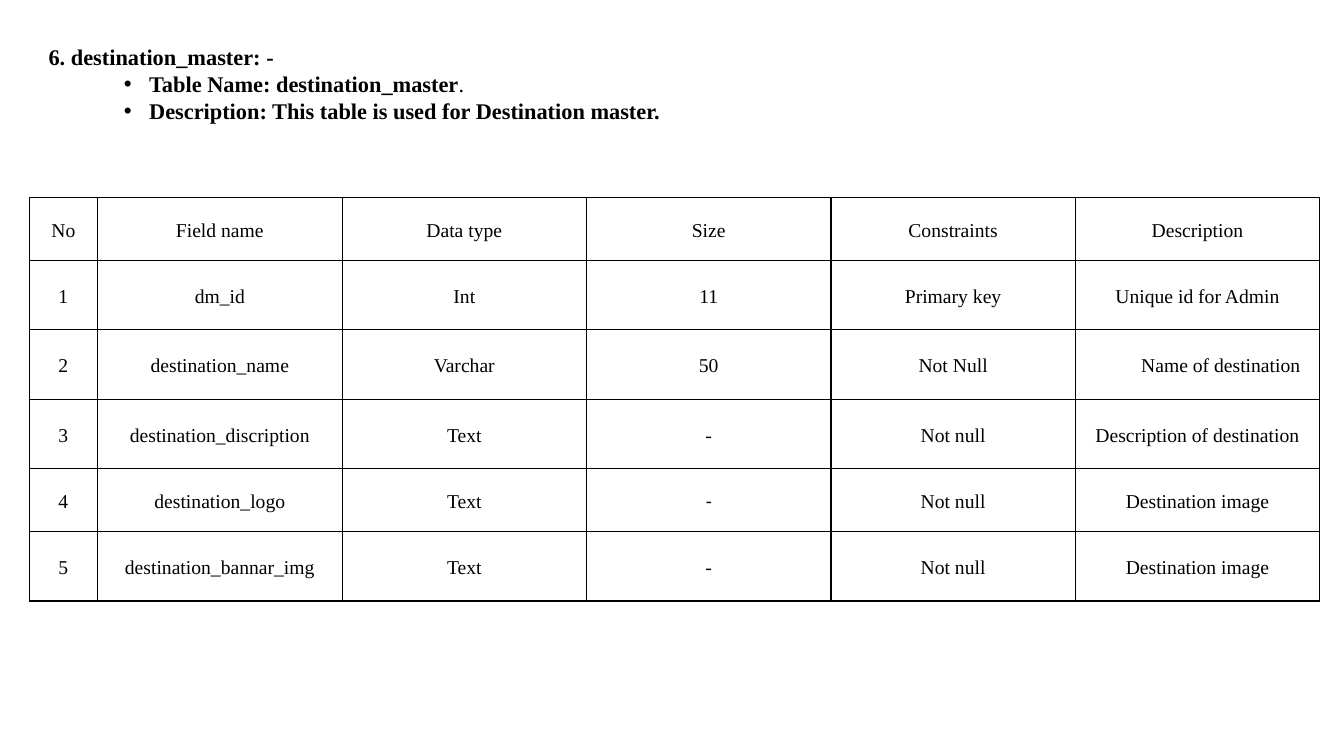
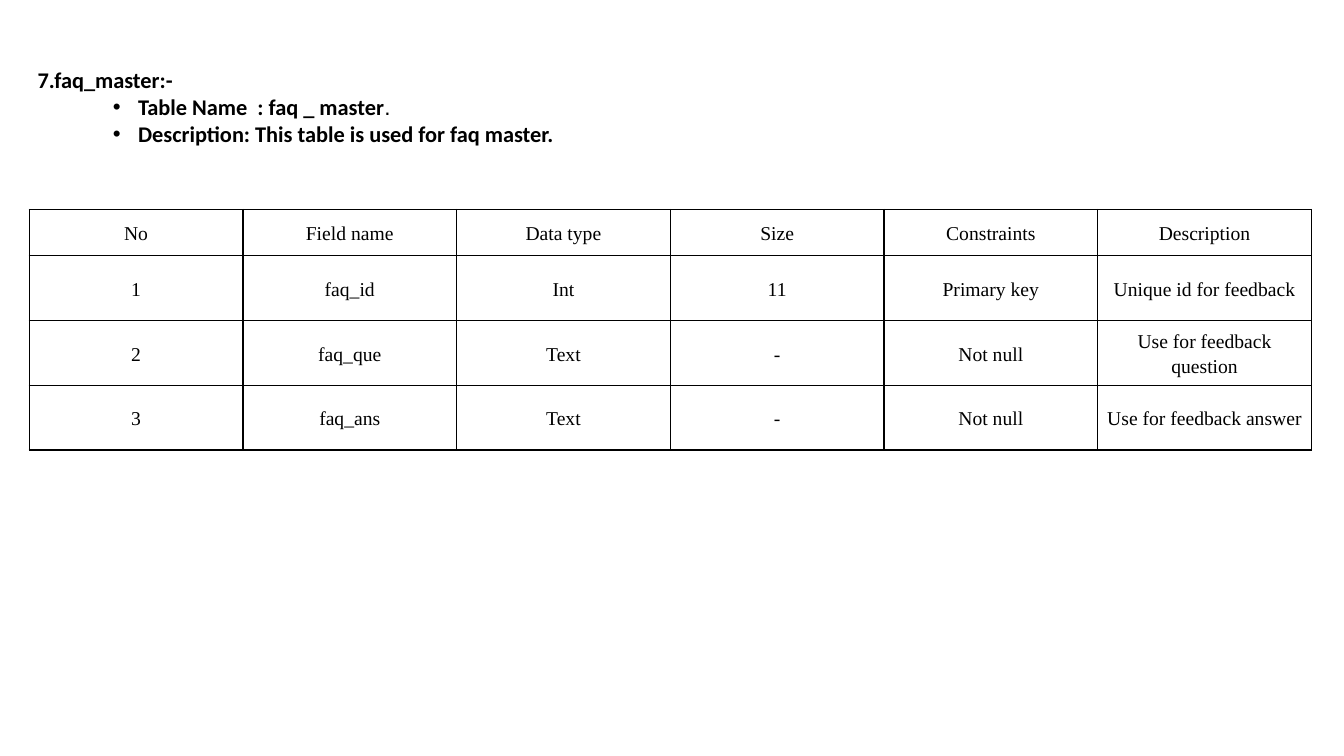
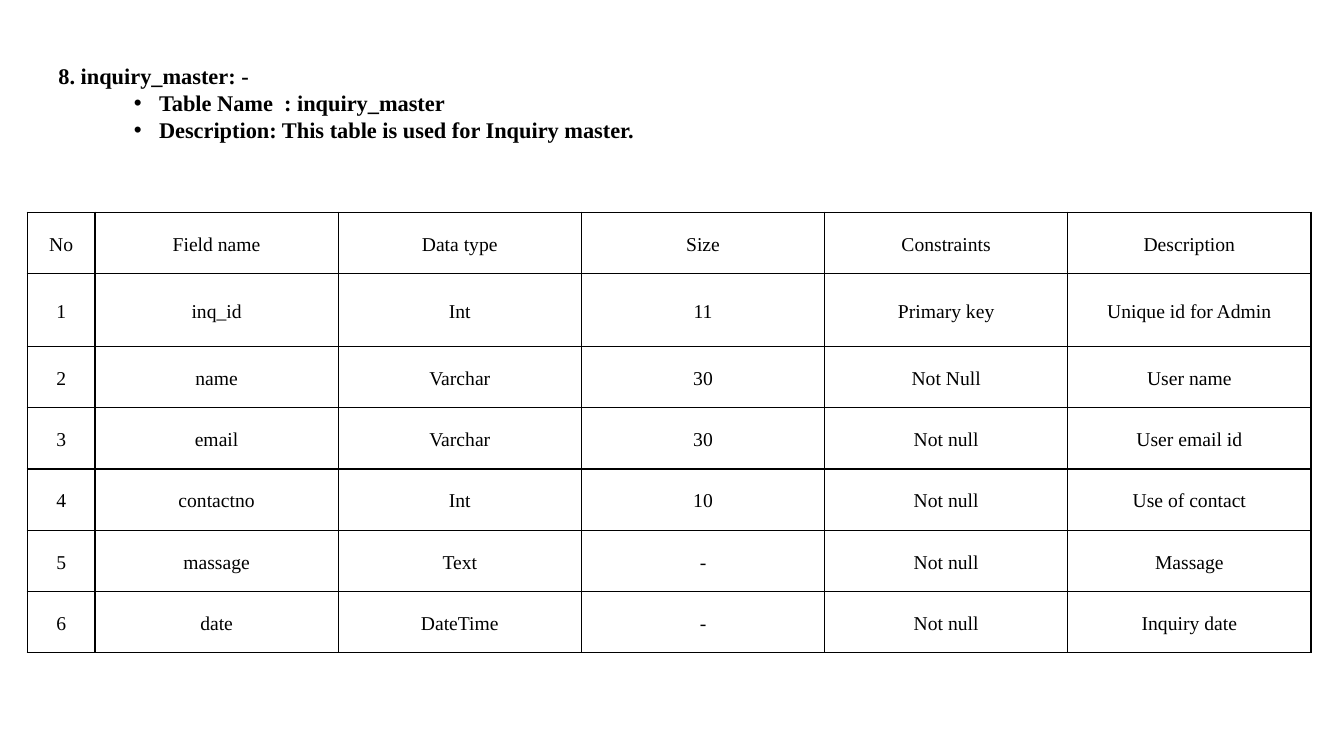
from lxml.etree import SubElement
from pptx import Presentation
from pptx.dml.color import RGBColor
from pptx.enum.text import MSO_ANCHOR, MSO_AUTO_SIZE, PP_ALIGN
from pptx.oxml.ns import qn
from pptx.util import Pt

COLOURS = {"text": "000000", "border": "000000", "cell": "FFFFFF"}
SERIF, SANS = "Times New Roman", "Calibri"
HEADER = ["No", "Field name", "Data type", "Size", "Constraints", "Description"]


class Deck:
    """Holds the shared style and the slide being built."""

    heading_size, cell_size = 16, 14
    line_height = 19.3
    bullet_margin, bullet_hang = 72, 18
    cell_margin = 5

    def __init__(self):
        self.presentation = Presentation()
        self.presentation.slide_width = Pt(960)
        self.presentation.slide_height = Pt(540)
        self.slide = None

    def add_slide(self):
        self.slide = self.presentation.slides.add_slide(self.presentation.slide_layouts[5])

    def style_font(self, font, name, size, bold):
        font.name, font.size, font.bold = name, Pt(size), bold
        font.color.rgb = RGBColor.from_string(COLOURS["text"])

    def format_lines(self, text_frame, font_name):
        text_frame.word_wrap = True
        text_frame.auto_size = MSO_AUTO_SIZE.NONE
        text_frame.vertical_anchor = MSO_ANCHOR.TOP
        text_frame.margin_top = text_frame.margin_bottom = 0
        for paragraph in text_frame.paragraphs:
            paragraph.alignment = PP_ALIGN.LEFT
            paragraph.line_spacing = Pt(self.line_height)
            self.style_font(paragraph.font, font_name, self.heading_size, True)

    def title(self, text, left, top, width, font_name=SERIF):
        shape = self.slide.shapes.title
        shape.left, shape.top = Pt(left), Pt(top)
        shape.width, shape.height = Pt(width), Pt(self.line_height)
        shape.text_frame.text = text
        self.format_lines(shape.text_frame, font_name)

    def bullets(self, lines, left, top, width, font_name=SERIF):
        shape = self.slide.shapes.add_textbox(
            Pt(left), Pt(top), Pt(width), Pt(self.line_height * len(lines)))
        shape.text_frame.text = "\n".join(lines)
        self.format_lines(shape.text_frame, font_name)
        for paragraph in shape.text_frame.paragraphs:
            properties = paragraph._p.get_or_add_pPr()
            properties.set("marL", str(Pt(self.bullet_margin)))
            properties.set("indent", str(-Pt(self.bullet_hang)))
            bullet_font = properties.makeelement(qn("a:buFont"), {"typeface": "Arial"})
            bullet = properties.makeelement(qn("a:buChar"), {"char": "•"})
            properties.find(qn("a:defRPr")).addprevious(bullet_font)
            bullet_font.addnext(bullet)
        return shape.text_frame

    def heading(self, title, lines, left, top, width, font_name=SERIF):
        self.title(title, left, top, width, font_name)
        return self.bullets(lines, left, top + self.line_height, width, font_name)

    def plain_ending(self, paragraph, text, font_name):
        run = paragraph.add_run()
        run.text = text
        run.font.name, run.font.bold = font_name, False

    def border(self, cell):
        properties = cell._tc.get_or_add_tcPr()
        for side in ("a:lnL", "a:lnR", "a:lnT", "a:lnB"):
            line = SubElement(properties, qn(side), w=str(Pt(1)))
            fill = SubElement(line, qn("a:solidFill"))
            SubElement(fill, qn("a:srgbClr"), val=COLOURS["border"])

    def format_cell(self, cell, text):
        cell.text = text
        self.border(cell)
        cell.fill.solid()
        cell.fill.fore_color.rgb = RGBColor.from_string(COLOURS["cell"])
        cell.vertical_anchor = MSO_ANCHOR.MIDDLE
        cell.margin_left = cell.margin_right = Pt(self.cell_margin)
        cell.margin_top = cell.margin_bottom = 0
        paragraph = cell.text_frame.paragraphs[0]
        paragraph.alignment = PP_ALIGN.CENTER
        paragraph.line_spacing = 1.15
        self.style_font(paragraph.font, SERIF, self.cell_size, False)

    def field_table(self, fields, left, top, width, number_width, row_heights):
        """Number the fields; the other columns share the remaining width."""
        rows = [HEADER] + [[str(number), *field] for number, field in enumerate(fields, 1)]
        table = self.slide.shapes.add_table(
            len(rows), len(HEADER), Pt(left), Pt(top), Pt(width), Pt(sum(row_heights))).table
        table.first_row = table.horz_banding = False
        field_width = (width - number_width) / (len(HEADER) - 1)
        for index, column in enumerate(table.columns):
            column.width = Pt(field_width if index else number_width)
        for row, height, texts in zip(table.rows, row_heights, rows):
            row.height = Pt(height)
            for cell, text in zip(row.cells, texts):
                self.format_cell(cell, text)
        return table


def destination_slide(deck):
    deck.add_slide()
    lines = deck.heading(
        "6. destination_master: -",
        ["Table Name: destination_master",
         "Description: This table is used for Destination master."],
        left=27.5, top=31, width=894)
    deck.plain_ending(lines.paragraphs[0], ".", SERIF)
    table = deck.field_table([
        ["dm_id", "Int", "11", "Primary key", "Unique id for Admin"],
        ["destination_name", "Varchar", "50", "Not Null", "Name of destination"],
        ["destination_discription", "Text", "-", "Not null", "Description of destination"],
        ["destination_logo", "Text", "-", "Not null", "Destination image"],
        ["destination_bannar_img", "Text", "-", "Not null", "Destination image"],
    ], left=20.8, top=141, width=922, number_width=49,
        row_heights=[45, 49.6, 49.6, 49.6, 45, 49.6])
    # One description is indented from the left, one dash is sans serif
    indented_cell = table.cell(2, 5)
    indented_cell.margin_left = Pt(47)
    indented_cell.text_frame.paragraphs[0].alignment = PP_ALIGN.LEFT
    table.cell(4, 3).text_frame.paragraphs[0].font.name = SANS


def faq_slide(deck):
    deck.add_slide()
    lines = deck.heading(
        "7.faq_master:-",
        ["Table Name  : faq _ master",
         "Description: This table is used for faq master."],
        left=19.6, top=47, width=920, font_name=SANS)
    deck.plain_ending(lines.paragraphs[0], ".", "Arial")
    deck.field_table([
        ["faq_id", "Int", "11", "Primary key", "Unique id for feedback"],
        ["faq_que", "Text", "-", "Not null", "Use for feedback question"],
        ["faq_ans", "Text", "-", "Not null", "Use for feedback answer"],
    ], left=20.9, top=149.6, width=916, number_width=916 / 6,
        row_heights=[33] + [46.3] * 3)


def inquiry_slide(deck):
    deck.add_slide()
    deck.heading(
        "8. inquiry_master: -",
        ["Table Name  : inquiry_master",
         "Description: This table is used for Inquiry master."],
        left=34.5, top=44.5, width=896)
    deck.field_table([
        ["inq_id", "Int", "11", "Primary key", "Unique id for Admin"],
        ["name", "Varchar", "30", "Not Null", "User name"],
        ["email", "Varchar", "30", "Not null", "User email id"],
        ["contactno", "Int", "10", "Not null", "Use of contact"],
        ["massage", "Text", "-", "Not null", "Massage"],
        ["date", "DateTime", "-", "Not null", "Inquiry date"],
    ], left=19.5, top=151.6, width=917, number_width=48.4,
        row_heights=[43.8, 52] + [43.8] * 5)


def main():
    deck = Deck()
    destination_slide(deck)
    faq_slide(deck)
    inquiry_slide(deck)
    deck.presentation.save("out.pptx")


if __name__ == "__main__":
    main()
